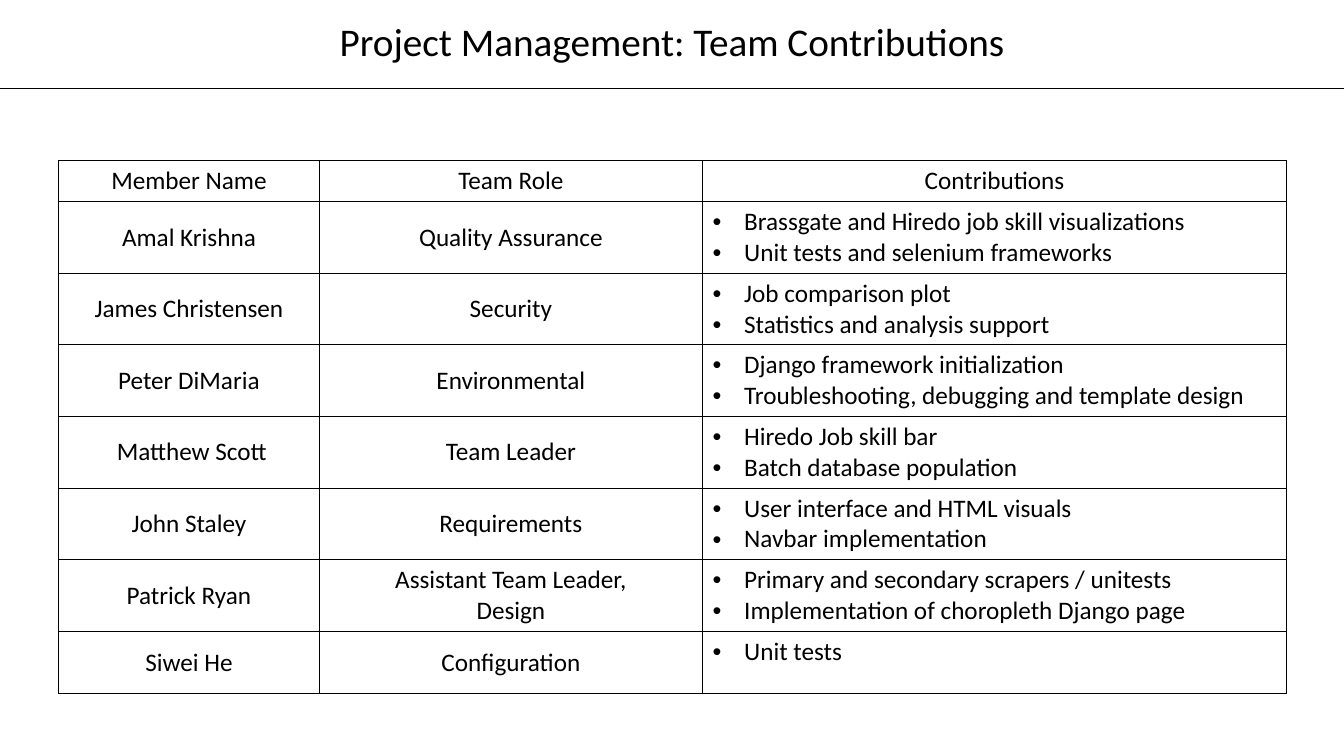
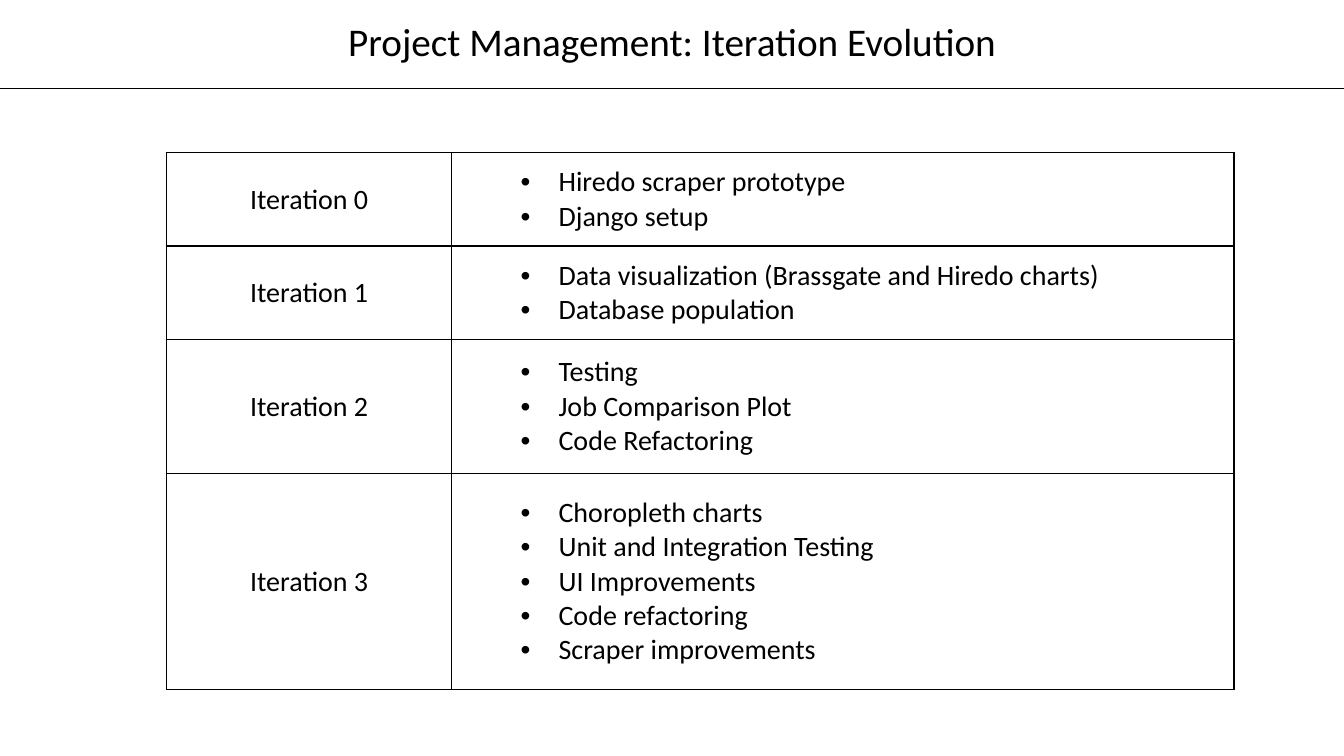
import pptx
import pptx.dml.color
import pptx.enum.shapes
import pptx.enum.text
import pptx.oxml
import pptx.oxml.ns
import pptx.util

ALIGN = pptx.enum.text.PP_ALIGN
ANCHOR = pptx.enum.text.MSO_ANCHOR
NS = pptx.oxml.ns.nsdecls("a")

# Twelve grid columns or rows make one inch
UNIT = pptx.util.Inches(1) // 12


def color(code):
    return pptx.dml.color.RGBColor.from_string(code)


def grid(count):
    return round(count * UNIT)


def write(frame, text, *, size, font, ink, align=ALIGN.LEFT, spacing=None,
          level=0, bullet=None):
    """Fill a text frame, one paragraph per line; bullet is (margin, hang)."""
    for index, line in enumerate(text.split("\n")):
        para = frame.add_paragraph() if index else frame.paragraphs[0]
        para.alignment, para.line_spacing, para.level = align, spacing, level
        span = para.add_run()
        span.text = line
        span.font.name, span.font.size = font, pptx.util.Pt(size)
        span.font.color.rgb = color(ink)
        if bullet:
            margin, hang = bullet
            props = para._p.get_or_add_pPr()
            props.set("marL", str(grid(margin)))
            props.set("indent", str(-grid(hang)))
            props.append(pptx.oxml.parse_xml(f'<a:buFont {NS} typeface="Arial"/>'))
            props.append(pptx.oxml.parse_xml(f'<a:buChar {NS} char="•"/>'))


class Slides:
    FONT, INK, PAPER = "Calibri", "000000", "FFFFFF"
    TITLE_SIZE, TITLE_HEIGHT = 28, 10.5
    RULE_WEIGHT, BORDER_WEIGHT = 0.75, 1

    def __init__(self):
        self.deck = pptx.Presentation()
        self.deck.slide_width, self.deck.slide_height = grid(160), grid(90)
        self.page = None

    def add_page(self, title):
        self.page = self.deck.slides.add_slide(self.deck.slide_layouts[6])
        self.add_title(title)
        self.add_rule(self.TITLE_HEIGHT)

    def add_title(self, text):
        box = self.page.shapes.add_textbox(0, 0, self.deck.slide_width, grid(self.TITLE_HEIGHT))
        box.text_frame.word_wrap = True
        box.text_frame.vertical_anchor = ANCHOR.MIDDLE
        write(box.text_frame, text, size=self.TITLE_SIZE, font=self.FONT,
              ink=self.INK, align=ALIGN.CENTER, spacing=0.9)

    def add_rule(self, row):
        rule = self.page.shapes.add_connector(
            pptx.enum.shapes.MSO_CONNECTOR.STRAIGHT, 0, grid(row), self.deck.slide_width, grid(row))
        rule.line.color.rgb = color(self.INK)
        rule.line.width = pptx.util.Pt(self.RULE_WEIGHT)
        rule._element.spPr.append(pptx.oxml.parse_xml(f"<a:effectLst {NS}/>"))

    def add_table(self, left, top, widths, heights, rows, *, size, bullet,
                  level=0, header=False, list_anchor=ANCHOR.TOP):
        """Draw a bordered table whose last column holds bulleted lists."""
        table = self.page.shapes.add_table(
            len(rows), len(widths), grid(left), grid(top),
            grid(sum(widths)), grid(sum(heights))).table
        table.first_row = table.horz_banding = False
        for column, width in zip(table.columns, widths):
            column.width = grid(width)
        for row, height in zip(table.rows, heights):
            row.height = grid(height)
        for r, texts in enumerate(rows):
            for c, text in enumerate(texts):
                cell = table.cell(r, c)
                self.style_cell(cell)
                last = c == len(widths) - 1
                cell.vertical_anchor = list_anchor if last else ANCHOR.MIDDLE
                listed = last and not (header and r == 0)
                layout = {"bullet": bullet, "level": level} if listed else {"align": ALIGN.CENTER}
                write(cell.text_frame, text, size=size, font=self.FONT, ink=self.INK, **layout)

    def style_cell(self, cell):
        props = cell._tc.get_or_add_tcPr()
        weight = pptx.util.Pt(self.BORDER_WEIGHT)
        for side in "LRTB":
            props.append(pptx.oxml.parse_xml(
                f'<a:ln{side} {NS} w="{weight}"><a:solidFill>'
                f'<a:srgbClr val="{self.INK}"/></a:solidFill></a:ln{side}>'))
        cell.fill.solid()
        cell.fill.fore_color.rgb = color(self.PAPER)


TEAM = [
    ("Member Name", "Team Role", "Contributions"),
    ("Amal Krishna", "Quality Assurance",
     "Brassgate and Hiredo job skill visualizations\nUnit tests and selenium frameworks"),
    ("James Christensen", "Security", "Job comparison plot\nStatistics and analysis support"),
    ("Peter DiMaria", "Environmental",
     "Django framework initialization\nTroubleshooting, debugging and template design"),
    (" Matthew Scott", "Team Leader", "Hiredo Job skill bar\nBatch database population"),
    ("John Staley", "Requirements", "User interface and HTML visuals\nNavbar implementation"),
    ("Patrick Ryan", "Assistant Team Leader,\nDesign",
     "Primary and secondary scrapers / unitests\nImplementation of choropleth Django page"),
    ("Siwei He", "Configuration", "Unit tests"),
]

ITERATIONS = [
    "Hiredo scraper prototype\nDjango setup",
    "Data visualization (Brassgate and Hiredo charts)\nDatabase population",
    "Testing\nJob Comparison Plot\nCode Refactoring",
    "Choropleth charts\nUnit and Integration Testing\nUI Improvements\n"
    "Code refactoring\nScraper improvements",
]


def main():
    slides = Slides()

    # Team contributions
    slides.add_page("Project Management: Team Contributions")
    slides.add_table(7, 19.1, [31, 45.65, 69.5], [4.9] + [8.53] * 6 + [7.4], TEAM,
                     size=18, bullet=(3.75, 3.75), header=True)

    # Iteration evolution
    slides.add_page("Project Management: Iteration Evolution")
    rows = [(f"Iteration {number}", work) for number, work in enumerate(ITERATIONS)]
    slides.add_table(19.8, 18.2, [34, 93.1], [11.1, 11.1, 16, 25.7], rows,
                     size=20, bullet=(11.5, 4.5), level=1, list_anchor=ANCHOR.MIDDLE)

    slides.deck.save("out.pptx")


if __name__ == "__main__":
    main()
